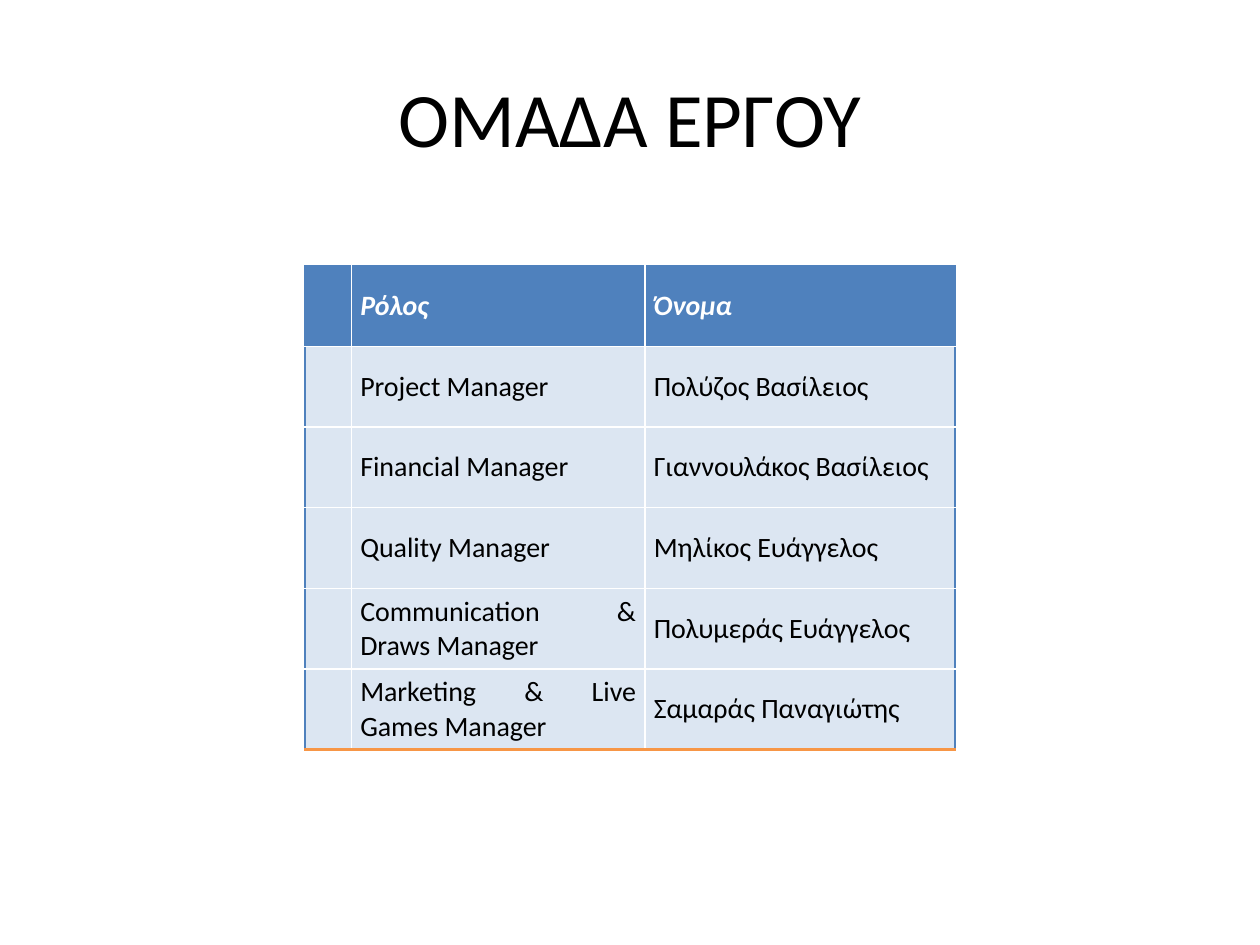
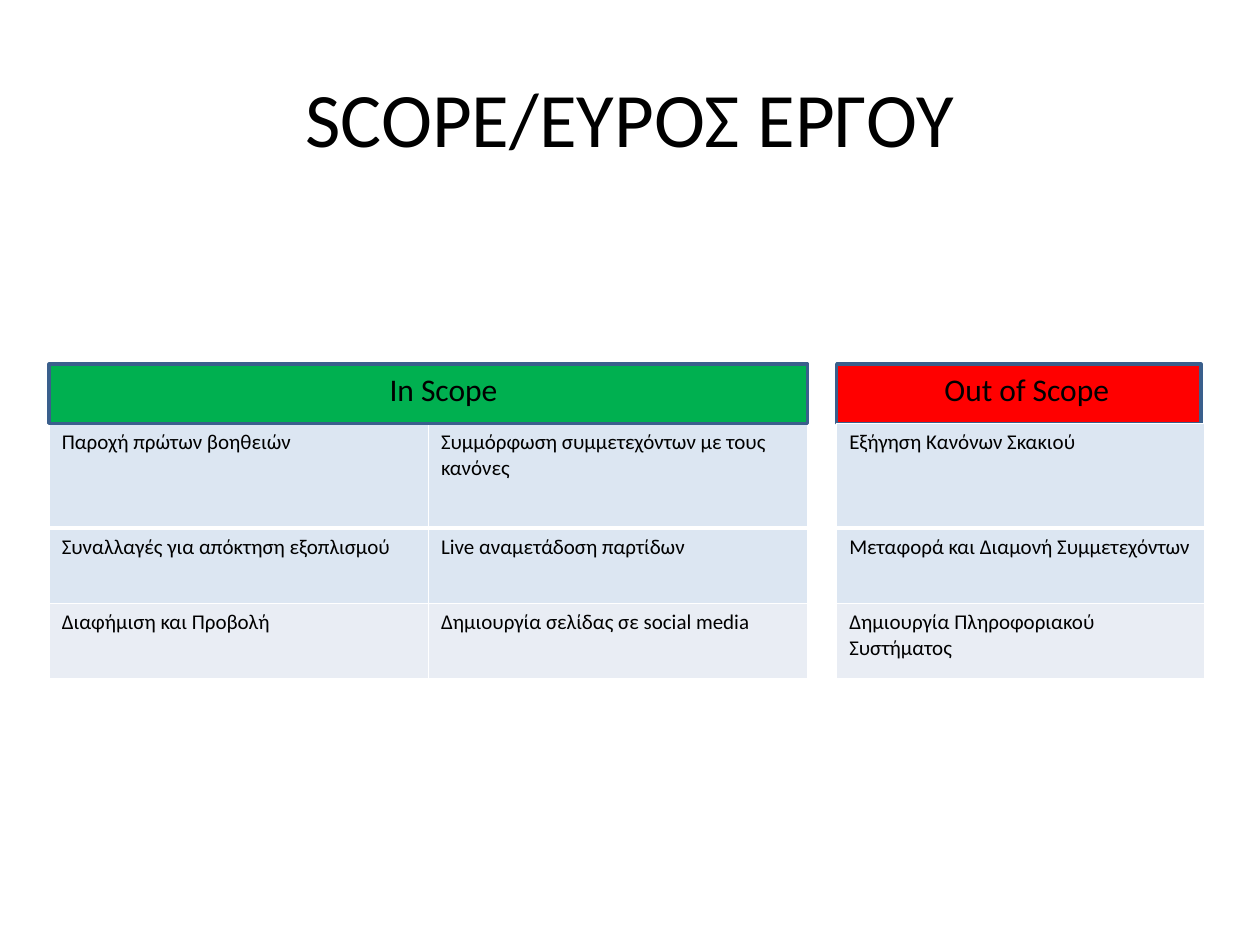
from dataclasses import dataclass
from typing import Any

import pptx
import pptx.dml.color
import pptx.enum.shapes
import pptx.enum.text
import pptx.oxml
import pptx.oxml.ns
import pptx.util

Inches = pptx.util.Inches
Pt = pptx.util.Pt
Align = pptx.enum.text.PP_ALIGN
Anchor = pptx.enum.text.MSO_ANCHOR


@dataclass(frozen=True)
class Theme:
    font: str = "Calibri"
    black: str = "000000"
    white: str = "FFFFFF"
    blue: str = "4F81BD"
    pale: str = "DCE6F2"
    mist: str = "E9EDF4"
    orange: str = "F79646"
    green: str = "00B050"
    red: str = "FF0000"
    edge: str = "3A5F8C"
    title: int = 44
    head: int = 18
    role: int = 16
    item: int = 12


THEME = Theme()


@dataclass(frozen=True)
class Box:
    left: float
    top: float
    width: float
    height: float

    def place(self) -> tuple:
        return tuple(Inches(v) for v in (self.left, self.top, self.width, self.height))


@dataclass(frozen=True)
class Style:
    size: int
    color: str = THEME.black
    align: Any = Align.LEFT
    bold: bool = False
    italic: bool = False


@dataclass(frozen=True)
class Edge:
    color: str = THEME.white
    width: float = 1


@dataclass(frozen=True)
class Panel:
    bar: Box
    label: Box
    text: str
    fill: str
    cols: list
    rows: list


TITLE = Style(THEME.title, align=Align.CENTER)
HEAD = Style(THEME.head, align=Align.CENTER)
ITEM = Style(THEME.item)
ROLE = Style(THEME.role, align=Align.JUSTIFY)
TOP = Style(THEME.role, THEME.white, bold=True, italic=True)

TEAM = [
    ("", "Ρόλος", "Όνομα"),
    ("", "Project Manager", "Πολύζος Βασίλειος"),
    ("", "Financial Manager", "Γιαννουλάκος Βασίλειος"),
    ("", "Quality Manager", "Μηλίκος Ευάγγελος"),
    ("", "Communication & Draws Manager", "Πολυμεράς Ευάγγελος"),
    ("", "Marketing & Live Games Manager", "Σαμαράς Παναγιώτης"),
]
PANELS = [
    Panel(Box(0.39, 2.89, 6.02, 0.47), Box(1.8, 2.89, 3.44, 0.4), "In Scope",
          THEME.green, [3.01, 3.01], [
              ("Παροχή πρώτων βοηθειών", "Συμμόρφωση συμμετεχόντων με τους κανόνες"),
              ("Συναλλαγές για απόκτηση εξοπλισμού", "Live αναμετάδοση παρτίδων"),
              ("Διαφήμιση και Προβολή", "Δημιουργία σελίδας σε social media")]),
    Panel(Box(6.64, 2.89, 2.89, 0.47), Box(6.98, 2.89, 2.34, 0.4), "Out of Scope",
          THEME.red, [2.92], [
              ("Εξήγηση Κανόνων Σκακιού",),
              ("Μεταφορά και Διαμονή Συμμετεχόντων",),
              ("Δημιουργία Πληροφοριακού Συστήματος",)]),
]


def rgb(color: str) -> Any:
    return pptx.dml.color.RGBColor.from_string(color)


def apply(target: Any, values: dict) -> None:
    for name, value in values.items():
        setattr(target, name, value)


def paint(target: Any, color: str) -> None:
    target.fill.solid()
    target.fill.fore_color.rgb = rgb(color)


def write(frame: Any, text: str, style: Style) -> None:
    para = frame.paragraphs[0]
    para.alignment = style.align
    run = para.add_run()
    run.text = text
    apply(run.font, {"name": THEME.font, "size": Pt(style.size),
                     "bold": style.bold, "italic": style.italic})
    run.font.color.rgb = rgb(style.color)


def label(slide: Any, box: Box, text: str, style: Style, anchor: Any = Anchor.TOP) -> None:
    frame = slide.shapes.add_textbox(*box.place()).text_frame
    apply(frame, {"word_wrap": True, "vertical_anchor": anchor})
    write(frame, text, style)


def border(cell: Any, edges: dict) -> None:
    space = pptx.oxml.ns.nsdecls("a")
    props = cell._tc.get_or_add_tcPr()
    for place, side in enumerate("LRTB"):
        edge = edges[side]
        props.insert(place, pptx.oxml.parse_xml(
            f'<a:ln{side} {space} w="{Pt(edge.width)}"><a:solidFill>'
            f'<a:srgbClr val="{edge.color}"/></a:solidFill></a:ln{side}>'))


def grid(slide: Any, left: float, top: float, cols: list, highs: list) -> Any:
    box = Box(left, top, sum(cols), sum(highs))
    table = slide.shapes.add_table(len(highs), len(cols), *box.place()).table
    apply(table, {"first_row": False, "horz_banding": False})
    for col, width in zip(table.columns, cols):
        col.width = Inches(width)
    for row, high in zip(table.rows, highs):
        row.height = Inches(high)
    return table


def begin(deck: Any, title: str) -> Any:
    slide = deck.slides.add_slide(deck.slide_layouts[6])
    label(slide, Box(0.5, 0.3, 9, 1.25), title, TITLE, Anchor.MIDDLE)
    return slide


def team(deck: Any) -> None:
    slide = begin(deck, "ΟΜΑΔΑ ΕΡΓΟΥ")
    table = grid(slide, 2.42, 2.11, [0.37, 2.33, 2.46], [0.64] * len(TEAM))
    plain, blue = Edge(), Edge(THEME.blue)
    for r, row in enumerate(TEAM):
        for c, text in enumerate(row):
            cell = table.cell(r, c)
            apply(cell, {"vertical_anchor": Anchor.MIDDLE,
                         "margin_left": Inches(0.07), "margin_right": Inches(0.07)})
            paint(cell, THEME.pale if r else THEME.blue)
            border(cell, {
                "L": plain if c else blue,
                "R": blue if c == len(row) - 1 else plain,
                "T": plain if r else blue,
                "B": Edge(THEME.orange, 1.5) if r == len(TEAM) - 1 else plain})
            if text:
                write(cell.text_frame, text, ROLE if r else TOP)


def draw(slide: Any, panel: Panel) -> None:
    kind = pptx.enum.shapes.MSO_SHAPE.RECTANGLE
    bar = slide.shapes.add_shape(kind, *panel.bar.place())
    bar.shadow.inherit = False
    paint(bar, panel.fill)
    bar.line.color.rgb = rgb(THEME.edge)
    bar.line.width = Pt(2)
    label(slide, panel.label, panel.text, HEAD)


def fill(slide: Any, panel: Panel) -> None:
    table = grid(slide, panel.bar.left, panel.bar.top + panel.bar.height,
                 panel.cols, [0.83, 0.6, 0.6])
    plain, thick = Edge(), Edge(width=3)
    tones = [THEME.pale, THEME.pale, THEME.mist]
    for r, row in enumerate(panel.rows):
        for c, text in enumerate(row):
            cell = table.cell(r, c)
            paint(cell, tones[r])
            border(cell, {"L": plain, "R": plain,
                          "T": thick if r == 1 else plain,
                          "B": plain if r else thick})
            write(cell.text_frame, text, ITEM)


def scope(deck: Any) -> None:
    slide = begin(deck, "SCOPE/EYΡΟΣ ΕΡΓΟΥ")
    inner, outer = PANELS
    fill(slide, inner)
    draw(slide, inner)
    draw(slide, outer)
    fill(slide, outer)


def main() -> None:
    deck = pptx.Presentation()
    apply(deck, {"slide_width": Inches(10), "slide_height": Inches(7.5)})
    team(deck)
    scope(deck)
    deck.save("out.pptx")


if __name__ == "__main__":
    main()
